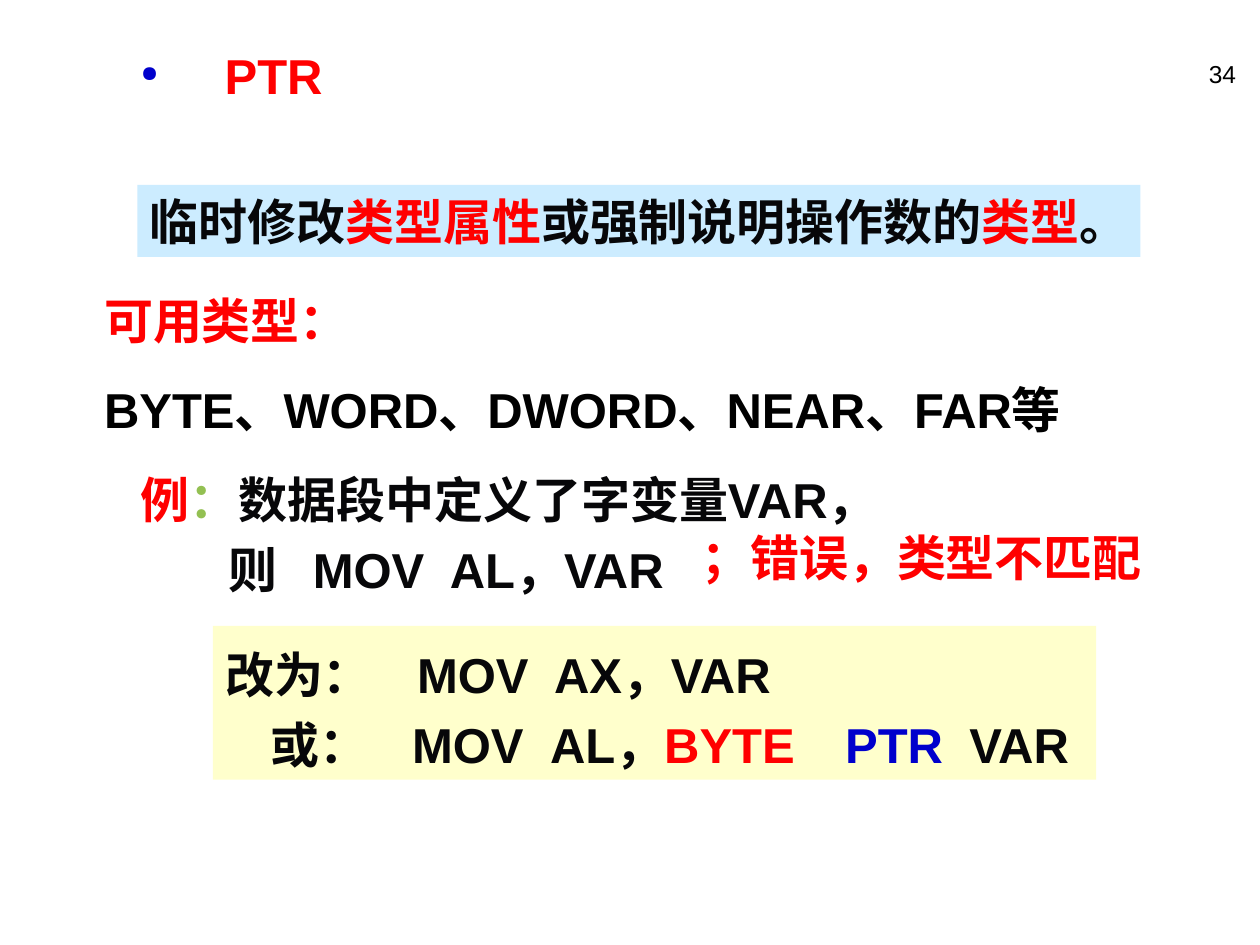
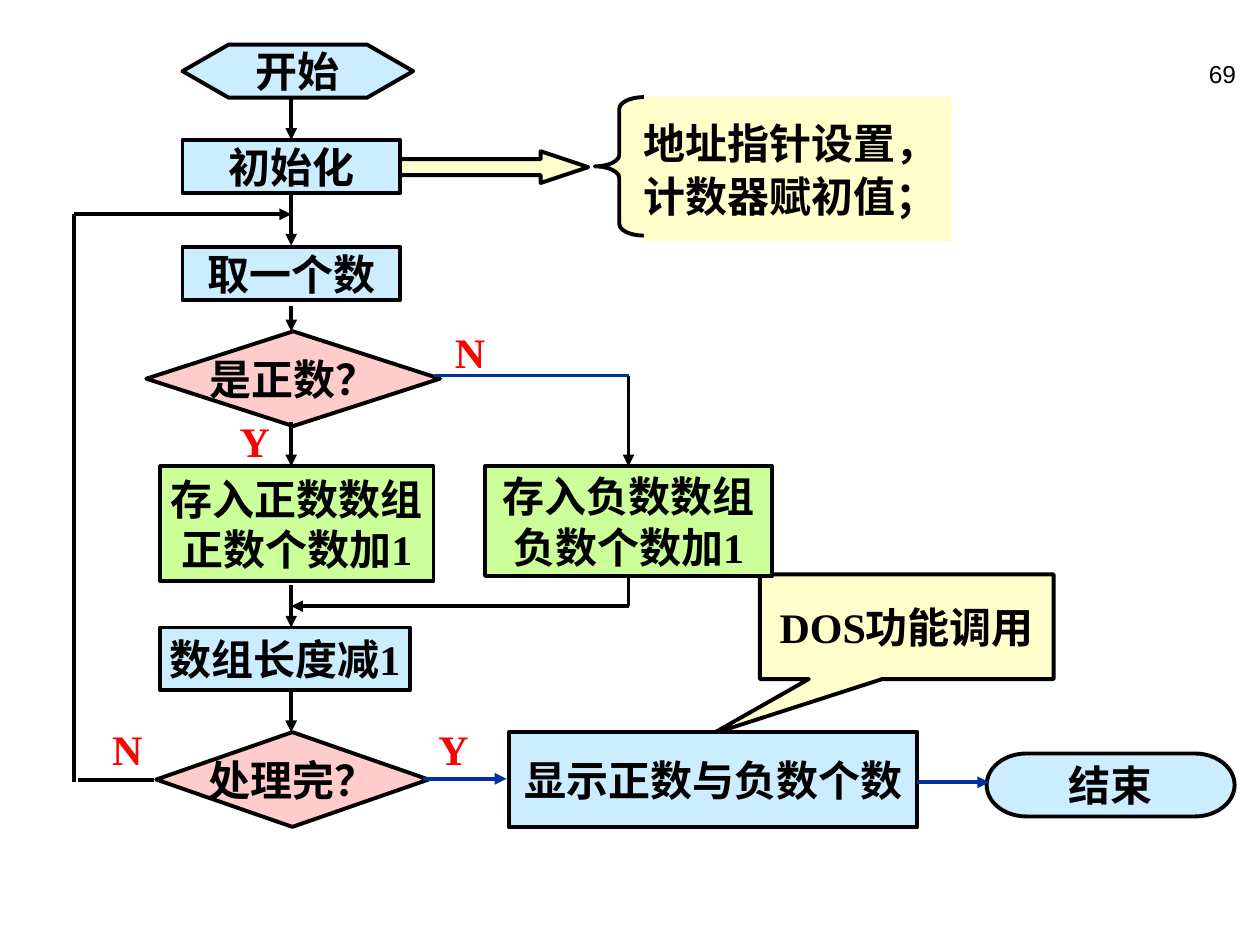
import pptx
import pptx.dml.color
import pptx.enum.shapes
import pptx.enum.text
import pptx.oxml.ns
import pptx.util
from lxml import etree

Cm = pptx.util.Cm
Pt = pptx.util.Pt
RGBColor = pptx.dml.color.RGBColor
SHAPE = pptx.enum.shapes.MSO_SHAPE
ALIGN = pptx.enum.text.PP_ALIGN
ANCHOR = pptx.enum.text.MSO_ANCHOR

BLACK = RGBColor(0x00, 0x00, 0x00)
INK = RGBColor(0x07, 0x07, 0x09)
RED = RGBColor(0xFF, 0x00, 0x00)
BLUE = RGBColor(0x00, 0x00, 0xCC)
NAVY = RGBColor(0x00, 0x33, 0x99)
GREEN = RGBColor(0x93, 0xC0, 0x52)
SKY = RGBColor(0xCC, 0xEC, 0xFF)
CREAM = RGBColor(0xFF, 0xFF, 0xCC)
PINK = RGBColor(0xFF, 0xCC, 0xCC)
LIME = RGBColor(0xCC, 0xFF, 0x99)

LESSON_FONT = {"name": "Arial", "size": Pt(28), "bold": True}
FLOW_FONT = {"name": "Times New Roman", "size": Pt(24), "bold": True}
NUMBER_FONT = {"name": "Arial", "size": Pt(14), "bold": False}
LINE_WIDTH = Pt(2.25)


# Shared helpers
def set_all(target, values):
    for name, value in values.items():
        setattr(target, name, value)


def shift(box, left, top, width, height):
    """Place an inner box relative to the corner of an outer one."""
    return box[0] + left, box[1] + top, width, height


def add_element(parent, tag, **values):
    return etree.SubElement(parent, pptx.oxml.ns.qn(tag), **values)


def write(shape, paras, font, para_format=None, frame_format=None,
          margins=(0.25, 0.13), tabs=()):
    """Fill a shape with paragraphs, each a list of (text, colour) spans."""
    frame = shape.text_frame
    set_all(frame, {"word_wrap": True, "vertical_anchor": ANCHOR.TOP,
                    **(frame_format or {})})
    across, down = map(Cm, margins)
    set_all(frame, {"margin_left": across, "margin_right": across,
                    "margin_top": down, "margin_bottom": down})
    for index, spans in enumerate(paras):
        para = frame.paragraphs[0] if index == 0 else frame.add_paragraph()
        set_all(para, {"alignment": ALIGN.LEFT, **(para_format or {})})
        if index == 0:
            para.space_before = Pt(0)
        if tabs:
            stops = add_element(para._p.get_or_add_pPr(), "a:tabLst")
            for stop in tabs[index]:
                add_element(stops, "a:tab", pos=str(Cm(stop)), algn="l")
        for text, color in spans:
            span = para.add_run()
            span.text = text
            set_all(span.font, font)
            span.font.color.rgb = color


def add_text(page, box, paras, font, **options):
    shape = page.shapes.add_textbox(*map(Cm, box))
    write(shape, paras, font, **options)
    return shape


def add_panel(page, kind, box, fill, outline=None, adjustments=()):
    shape = page.shapes.add_shape(kind, *map(Cm, box))
    shape.shadow.inherit = False
    shape.fill.solid()
    shape.fill.fore_color.rgb = fill
    if outline is None:
        shape.line.fill.background()
    else:
        shape.line.color.rgb = outline
        shape.line.width = LINE_WIDTH
    for index, value in enumerate(adjustments):
        shape.adjustments[index] = value
    return shape


def add_line(page, box, start, end, color=BLACK, arrow=True):
    points = [Cm(base + offset) for point in (start, end)
              for base, offset in zip(box, point)]
    line = page.shapes.add_connector(
        pptx.enum.shapes.MSO_CONNECTOR.STRAIGHT, *points)
    line.line.color.rgb = color
    line.line.width = LINE_WIDTH
    if arrow:
        add_element(line.line._get_or_add_ln(), "a:tailEnd", type="triangle")
    add_element(line._element.spPr, "a:effectLst")


def add_page(deck, number):
    page = deck.slides.add_slide(deck.slide_layouts[6])
    add_text(page, (19.89, 1.07, 5.28, 1.27), [[(number, BLACK)]],
             NUMBER_FONT, para_format={"alignment": ALIGN.RIGHT})
    return page


# PTR operator page
def add_bullet_title(page, box, title):
    shape = add_text(page, box, [], LESSON_FONT)
    para = shape.text_frame.paragraphs[0]
    layout = para._p.get_or_add_pPr()
    layout.set("marL", str(Cm(1.69)))
    layout.set("indent", str(-Cm(1.69)))
    add_element(add_element(layout, "a:buClr"), "a:srgbClr", val=str(BLUE))
    add_element(layout, "a:buSzPct", val="45000")
    add_element(layout, "a:buChar", char="●")
    span = para.add_run()
    span.text = title
    set_all(span.font, LESSON_FONT)
    span.font.color.rgb = RED


def add_definition(page, box):
    panel = add_panel(page, SHAPE.RECTANGLE, box, SKY)
    write(panel, [[("临时修改", INK), ("类型属性", RED),
                   ("或强制说明操作数的", INK), ("类型", RED), ("。", INK)]],
          LESSON_FONT, frame_format={"word_wrap": False})


def add_types(page, box):
    add_text(page, box,
             [[("可用类型：", RED)],
              [("BYTE、WORD、DWORD、NEAR、FAR等", BLACK)]],
             LESSON_FONT, para_format={"space_before": Pt(17.5)},
             frame_format={"word_wrap": False})


def add_example(page, box):
    spaced = {"line_spacing": 1.2}
    # Faulty instruction and its remark
    add_text(page, shift(box, 0, 0, 20.8, 3.1),
             [[("例", RED), ("：", GREEN), ("数据段中定义了字变量VAR，", INK)],
              [("\t则\tMOV\tAL，VAR", INK)]],
             LESSON_FONT, para_format=spaced,
             tabs=[(), (1.77, 3.47, 6.23)])
    add_text(page, shift(box, 11.3, 1.17, 10, 1.68),
             [[("；错误，类型不匹配", RED)]], LESSON_FONT,
             para_format=spaced)
    # Corrected instructions
    panel = add_panel(page, SHAPE.RECTANGLE,
                      shift(box, 1.7, 3.53, 17.81, 3.1), CREAM)
    write(panel,
          [[("改为：\tMOV\tAX，VAR", INK)],
           [("\t或：\tMOV\tAL，", INK), ("BYTE\t", RED), ("PTR\t", BLUE),
            ("VAR", INK)]],
          LESSON_FONT, para_format=spaced,
          tabs=[(3.87, 6.63), (0.91, 3.77, 6.55, 12.5, 15)])


def build_operator_page(deck):
    page = add_page(deck, "34")
    add_example(page, (2.59, 9.09))
    add_definition(page, (2.77, 3.73, 20.22, 1.45))
    add_bullet_title(page, (2.59, 0.79, 22.2, 1.45), "PTR")
    add_types(page, (1.85, 5.72, 21.97, 3.25))


# Flowchart page
def add_node(page, kind, box, fill, lines, margins=(0.25, 0.13),
             adjustments=()):
    shape = add_panel(page, kind, box, fill, BLACK, adjustments)
    write(shape, [[(line, BLACK)] for line in lines], FLOW_FONT,
          para_format={"alignment": ALIGN.CENTER},
          frame_format={"word_wrap": False, "vertical_anchor": ANCHOR.MIDDLE},
          margins=margins)


def add_setup_note(page, box):
    add_panel(page, SHAPE.RIGHT_ARROW, shift(box, 0, 1.09, 3.81, 0.64),
              CREAM, BLACK, (0.5, 1.5))
    add_panel(page, SHAPE.LEFT_BRACE, shift(box, 3.94, 0, 0.99, 2.79),
              CREAM, BLACK, (0.235, 0.5))
    note = add_panel(page, SHAPE.RECTANGLE, shift(box, 4.93, 0, 6.2, 2.9),
                     CREAM)
    write(note, [[("地址指针设置，", BLACK)], [("计数器赋初值；", BLACK)]],
          FLOW_FONT, para_format={"space_before": Pt(1.5)},
          margins=(0, 0.41))


def add_flowchart(page, box):
    step, choice = SHAPE.FLOWCHART_PROCESS, SHAPE.FLOWCHART_DECISION
    nodes = [
        (SHAPE.FLOWCHART_PREPARATION, (2.18, 0, 4.65, 1.07), SKY, ["开始"]),
        (step, (2.18, 1.92, 4.39, 1.07), SKY, ["初始化"]),
        (step, (2.18, 4.08, 4.39, 1.07), SKY, ["取一个数"]),
        (choice, (1.45, 5.78, 5.92, 1.91), PINK, ["是正数？"]),
        (step, (1.73, 8.5, 5.51, 2.31), LIME, ["存入正数数组", "正数个数加1"]),
        (step, (8.28, 8.5, 5.79, 2.21), LIME, ["存入负数数组", "负数个数加1"]),
        (SHAPE.RECTANGLE, (1.73, 11.75, 5.03, 1.27), SKY, ["数组长度减1"]),
        (choice, (1.65, 13.86, 5.49, 1.91), PINK, ["处理完？"]),
        (step, (8.76, 13.86, 8.23, 1.91), SKY, ["显示正数与负数个数"]),
        (SHAPE.FLOWCHART_TERMINATOR, (18.39, 14.29, 5, 1.27), SKY, ["结束"]),
    ]
    for kind, place, fill, lines in nodes:
        add_node(page, kind, shift(box, *place), fill, lines)

    # Arrows down the main column
    main_x, side_x = 4.37, 11.17
    for top, bottom in [(1.08, 1.92), (2.99, 4.05), (5.27, 5.78),
                        (7.61, 8.5), (10.89, 11.75), (13.02, 13.86)]:
        add_line(page, box, (main_x, top), (main_x, bottom))

    # Negative branch and its return
    add_line(page, box, (7.24, 6.67), (side_x, 6.67), NAVY, arrow=False)
    add_line(page, box, (side_x, 6.67), (side_x, 8.5))
    add_line(page, box, (side_x, 10.68), (side_x, 11.32), arrow=False)
    add_line(page, box, (side_x, 11.32), (main_x, 11.32))

    # Loop back to the next number
    add_line(page, box, (1.6, 14.82), (0.07, 14.82), arrow=False)
    add_line(page, box, (0, 14.87), (0, 3.42), arrow=False)
    add_line(page, box, (0, 3.42), (main_x, 3.42))

    # Exit to the result and the end
    add_line(page, box, (7.03, 14.8), (8.71, 14.8), NAVY)
    add_line(page, box, (16.99, 14.87), (18.44, 14.87), NAVY)

    # Branch labels
    for label, left, top in [("Y", 3.33, 7.48), ("Y", 7.34, 13.68),
                             ("N", 7.67, 5.68), ("N", 0.76, 13.68)]:
        add_text(page, shift(box, left, top, 0.86, 1.02), [[(label, RED)]],
                 FLOW_FONT, margins=(0, 0))


def build_flowchart_page(deck):
    page = add_page(deck, "69")
    add_node(page, SHAPE.RECTANGULAR_CALLOUT, (15.32, 11.58, 5.92, 2.11),
             CREAM, ["DOS功能调用"], (0, 0), (-0.663, 1.025))
    add_setup_note(page, (8.05, 1.96))
    add_flowchart(page, (1.5, 0.9))


def main():
    deck = pptx.Presentation()
    deck.slide_width, deck.slide_height = Cm(25.4), Cm(19.05)
    build_operator_page(deck)
    build_flowchart_page(deck)
    deck.save("out.pptx")


if __name__ == "__main__":
    main()
